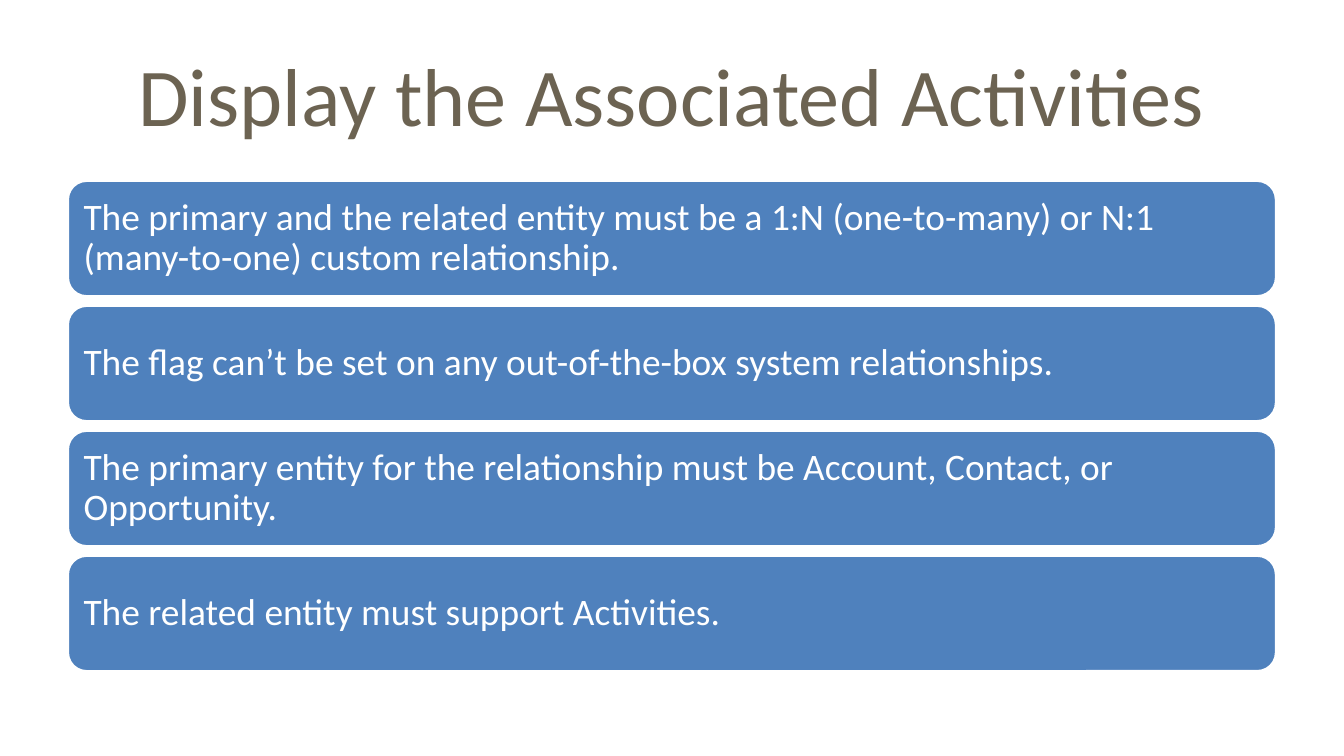
from pptx import Presentation
from pptx.dml.color import RGBColor
from pptx.enum.shapes import MSO_SHAPE
from pptx.enum.text import MSO_ANCHOR, MSO_AUTO_SIZE, PP_ALIGN
from pptx.util import Inches, Pt

ROUNDED = MSO_SHAPE.ROUNDED_RECTANGLE
MIDDLE = MSO_ANCHOR.MIDDLE
NO_AUTOFIT = MSO_AUTO_SIZE.NONE
LEFT, CENTER = PP_ALIGN.LEFT, PP_ALIGN.CENTER

FONT = "Calibri"
COLORS = {"title": "6C6352", "bar": "4F81BD", "white": "FFFFFF"}
TITLE_ONLY_LAYOUT = 5
SLIDE_WIDTH = 10
SLIDE_HEIGHT = SLIDE_WIDTH * 9 / 16

REQUIREMENTS = [
    "The primary and the related entity must be a 1:N (one-to-many) or N:1 "
    "(many-to-one) custom relationship.",
    "The flag can’t be set on any out-of-the-box system relationships.",
    "The primary entity for the relationship must be Account, Contact, or Opportunity.",
    "The related entity must support Activities.",
]


def color(name):
    return RGBColor.from_string(COLORS[name])


def write_text(shape, text, *, size, ink, align=LEFT, inset=0.1, line_spacing=1.0):
    frame = shape.text_frame
    frame.word_wrap = True
    frame.auto_size = NO_AUTOFIT
    frame.vertical_anchor = MIDDLE
    frame.margin_left = frame.margin_right = Inches(inset)
    frame.margin_top = frame.margin_bottom = Inches(0.05)
    frame.text = text
    paragraph = frame.paragraphs[0]
    paragraph.alignment = align
    paragraph.line_spacing = line_spacing
    paragraph.font.name = FONT
    paragraph.font.size = Pt(size)
    paragraph.font.color.rgb = color(ink)


def place_title(slide, text, left, top, width, height):
    title = slide.shapes.title
    title.left, title.top = Inches(left), Inches(top)
    title.width, title.height = Inches(width), Inches(height)
    write_text(title, text, size=44, ink="title", align=CENTER)


def add_requirement_bars(slide, requirements, left, top, width, height, gap=0.06):
    """Stack equal rounded bars to fill the given box."""
    count = len(requirements)
    bar_height = (height - gap * (count - 1)) / count
    for row, requirement in enumerate(requirements):
        bar = slide.shapes.add_shape(
            ROUNDED, Inches(left), Inches(top + row * (bar_height + gap)),
            Inches(width), Inches(bar_height))
        bar.shadow.inherit = False
        bar.fill.solid()
        bar.fill.fore_color.rgb = color("bar")
        bar.line.color.rgb = color("white")
        bar.line.width = Pt(2)
        write_text(bar, requirement, size=20, ink="white", inset=0.08, line_spacing=0.9)


def main():
    prs = Presentation()
    prs.slide_width, prs.slide_height = Inches(SLIDE_WIDTH), Inches(SLIDE_HEIGHT)
    slide = prs.slides.add_slide(prs.slide_layouts[TITLE_ONLY_LAYOUT])
    place_title(slide, "Display the Associated Activities", 0.5, 0.23, 9, 0.94)
    add_requirement_bars(slide, REQUIREMENTS, 0.5, 1.34, 9, 3.66)
    prs.save("out.pptx")


if __name__ == "__main__":
    main()
